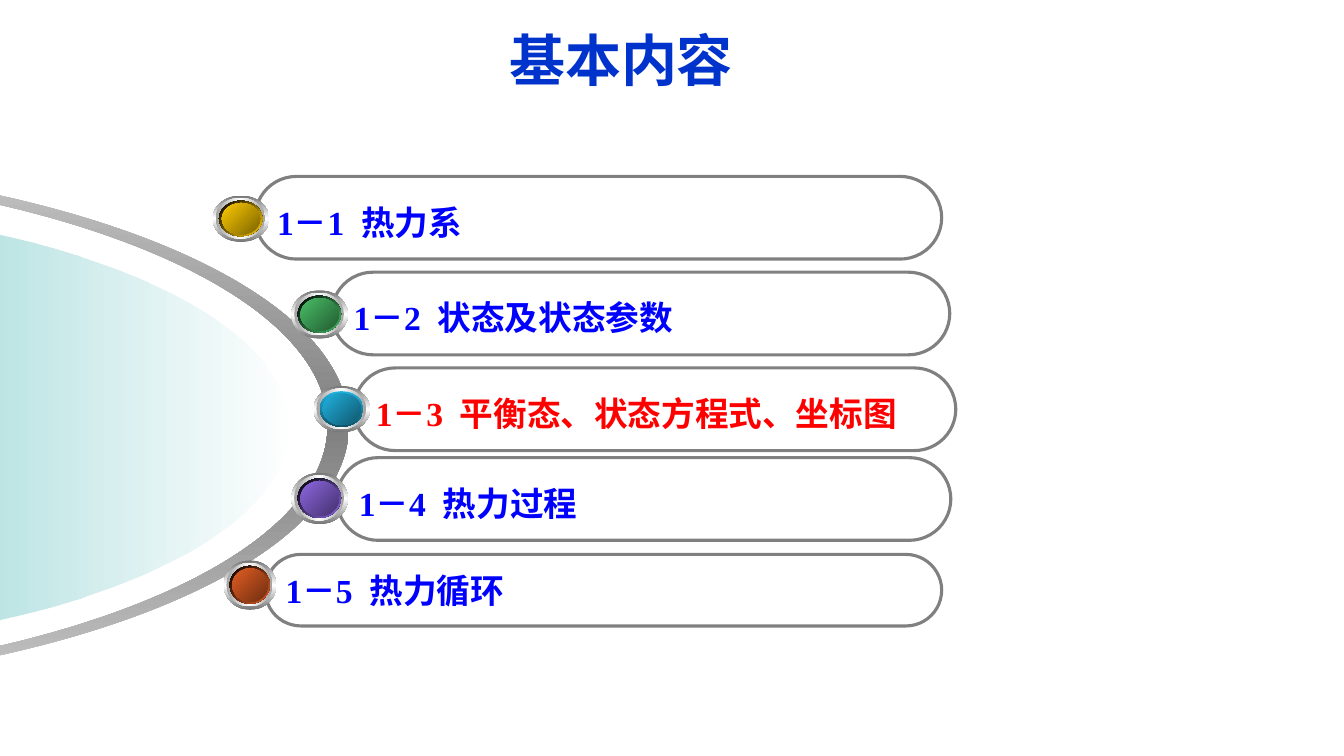
import lxml.etree
import pptx
import pptx.util
import pptx.dml.color
import pptx.enum.shapes
import pptx.enum.text
import pptx.oxml.ns

Inches = pptx.util.Inches
Shape = pptx.enum.shapes.MSO_SHAPE
Align = pptx.enum.text.PP_ALIGN
Anchor = pptx.enum.text.MSO_ANCHOR
qn = pptx.oxml.ns.qn


def write(shape, text, size=24, font="Times New Roman", color="0000FF",
          align=Align.LEFT, anchor=Anchor.MIDDLE, space=1.0):
    frame = shape.text_frame
    frame.word_wrap = True
    frame.vertical_anchor = anchor
    para = frame.paragraphs[0]
    para.alignment = align
    para.line_spacing = space
    run = para.add_run()
    run.text = text
    run.font.size = pptx.util.Pt(size)
    run.font.name = font
    run.font.bold = True
    run.font.color.rgb = pptx.dml.color.RGBColor.from_string(color)


def shade(shape, colors, angle, alphas=None):
    shape.shadow.inherit = False
    shape.line.fill.background()
    shape.fill.gradient()
    grad = shape._element.spPr.find(qn("a:gradFill"))
    for child in list(grad):
        grad.remove(child)
    stops = lxml.etree.SubElement(grad, qn("a:gsLst"))
    for i, color in enumerate(colors):
        place = 100000 * i // (len(colors) - 1)
        stop = lxml.etree.SubElement(stops, qn("a:gs"), pos=str(place))
        tint = lxml.etree.SubElement(stop, qn("a:srgbClr"), val=color)
        if alphas:
            lxml.etree.SubElement(tint, qn("a:alpha"), val=str(alphas[i] * 1000))
    lxml.etree.SubElement(grad, qn("a:lin"), ang=str(angle * 60000), scaled="0")


deck = pptx.Presentation()
deck.slide_width = Inches(13.33)
deck.slide_height = Inches(7.5)
slide = deck.slides.add_slide(deck.slide_layouts[6])
shapes = slide.shapes

ring = [(-3.49, 1.58), (3.46, 4.22), (-3.49, 6.86),
        (-3.49, 6.78), (3.25, 4.22), (-3.49, 1.66)]
core = [(-2.86, 2.03), (2.86, 4.24), (-2.86, 6.44)]
for points, colors, angle, alphas in [
        (ring, ["C5C5C5", "808080", "C5C5C5"], 90, None),
        (core, ["009999", "FFFFFF"], 0, [56, 48])]:
    spots = [(Inches(x), Inches(y)) for x, y in points]
    pen = shapes.build_freeform(*spots[0])
    pen.add_line_segments(spots[1:], close=True)
    form = pen.convert_to_shape()
    shade(form, colors, angle, alphas)
    last = None
    for step in list(form._element.iter(qn("a:moveTo"), qn("a:lnTo"))):
        end = step.find(qn("a:pt"))
        x, y = int(end.get("x")), int(end.get("y"))
        if last and last[0] != x:
            px, py = last
            bend_x, bend_y = int(0.55 * (x - px)), int(0.55 * (y - py))
            if x > px:
                bends = [(px + bend_x, py), (x, y - bend_y)]
            else:
                bends = [(px, py + bend_y), (x - bend_x, y)]
            curve = lxml.etree.Element(qn("a:cubicBezTo"))
            for cx, cy in bends + [(x, y)]:
                lxml.etree.SubElement(curve, qn("a:pt"), x=str(cx), y=str(cy))
            step.getparent().replace(step, curve)
        last = (x, y)

pills = [
    (2.63, 5.5, 6.71, 0.71, "1－5  热力循环", "0000FF", 1.0),
    (3.34, 4.54, 6.09, 0.82, "1－4  热力过程", "0000FF", 1.2),
    (3.51, 3.65, 5.97, 0.82, "1－3  平衡态、状态方程式、坐标图", "FF0000", 1.2),
    (3.29, 2.7, 6.13, 0.82, "1－2  状态及状态参数", "0000FF", 1.2),
    (2.53, 1.75, 6.81, 0.82, "1－1  热力系", "0000FF", 1.2),
]
for left, top, wide, high, text, color, space in pills:
    pill = shapes.add_shape(Shape.ROUNDED_RECTANGLE, Inches(left), Inches(top),
                            Inches(wide), Inches(high))
    pill.adjustments[0] = 0.5
    pill.shadow.inherit = False
    pill.fill.background()
    pill.line.color.rgb = pptx.dml.color.RGBColor.from_string("808080")
    pill.line.width = pptx.util.Pt(2.25)
    write(pill, text, color=color, space=space)

balls = [
    (2.11, 1.94, 0.56, 0.46, ["000000", "FFCC00"], 45, "7C6300"),
    (2.89, 2.88, 0.56, 0.48, ["000000", "48BE67"], 45, "235C32"),
    (3.11, 3.83, 0.56, 0.46, ["21B3E1", "0F5368"], 90, "10576D"),
    (2.89, 4.69, 0.56, 0.51, ["000000", "8D67E1"], 45, "45326D"),
    (2.22, 5.56, 0.52, 0.49, ["000000", "E35E23"], 45, "6E2E11"),
]
for left, top, wide, high, edge, angle, dark in balls:
    ball = shapes.add_group_shape()
    light = edge[0] if angle == 90 else edge[1]
    layers = [
        (1, 0, ["767676", "FFFFFF", "767676"], 90),
        (0.88, 0.05, ["A2A2A2", "FFFFFF", "A2A2A2"], 0),
        (0.77, 0.11, edge, angle),
        (0.68, 0.16, [light, dark], 45),
    ]
    for scale, gap, colors, turn in layers:
        disc = ball.shapes.add_shape(
            Shape.OVAL, Inches(left + wide * gap), Inches(top + high * gap),
            Inches(wide * scale), Inches(high * scale))
        shade(disc, colors, turn)

title = shapes.add_textbox(Inches(1.86), Inches(0.2), Inches(8.6), Inches(0.77))
write(title, "基本内容", size=40, font="Arial", color="0033CC",
      align=Align.CENTER, anchor=Anchor.BOTTOM)

deck.save("out.pptx")
